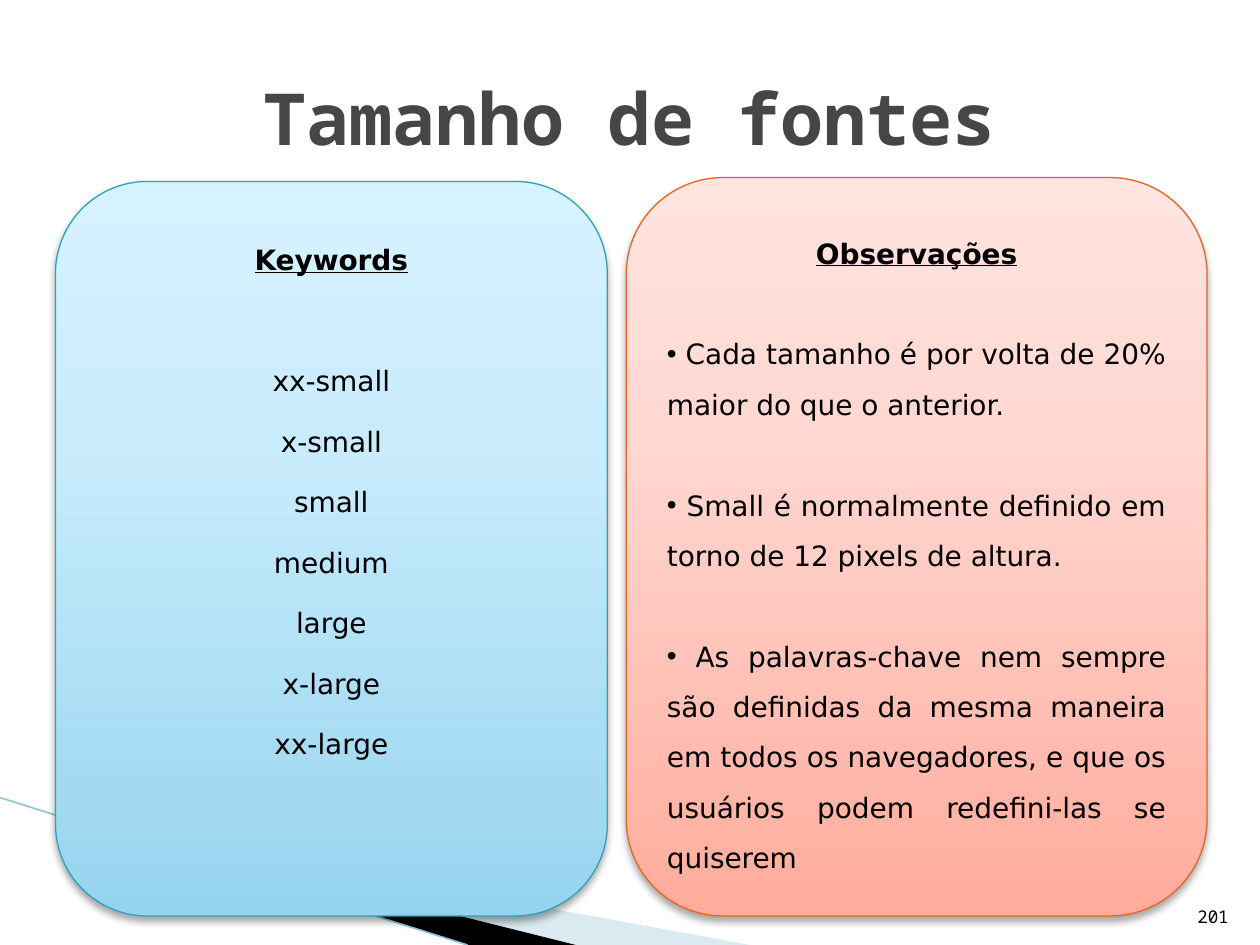
from pptx import Presentation
from pptx.dml.color import RGBColor
from pptx.enum.shapes import MSO_CONNECTOR, MSO_SHAPE
from pptx.enum.text import MSO_ANCHOR, PP_ALIGN
from pptx.oxml import parse_xml
from pptx.oxml.ns import nsdecls, qn
from pptx.util import Inches, Pt
from lxml.etree import SubElement

COLORS = {
    "gray": "464646", "black": "000000", "sky": "A0CBDC", "rule": "97C5D8",
    "teal": "2DA2BF", "orange": "EB641B",
}
BLUES = ["96D4EE", "C9ECFC", "D7F2FF"]
REDS = ["FFAC9C", "FFD8D2", "FFE4DF"]
MONO, SANS = "Noto Sans Mono", "DejaVu Sans"
WORDS = ["xx-small", "x-small", "small", "medium", "large", "x-large", "xx-large"]
NOTES = [
    " Cada tamanho é por volta de 20% maior do que o anterior.",
    " Small é normalmente definido em torno de 12 pixels de altura.",
    " As palavras-chave nem sempre são definidas da mesma maneira em todos os "
    "navegadores, e que os usuários podem redefini-las se quiserem",
]


class Deck:
    """Draw styled parts on a slide, placed on a grid of 100 columns by 75 rows."""

    def __init__(self):
        self.show = Presentation()
        self.show.slide_width, self.show.slide_height = Inches(10), Inches(7.5)
        self.cell = self.show.slide_width / 100
        self.slide = self.show.slides.add_slide(self.show.slide_layouts[6])
        self.shapes = self.slide.shapes

    def grid(self, *spots):
        return [round(spot * self.cell) for spot in spots]

    def color(self, name):
        return RGBColor.from_string(COLORS[name])

    def words(self, para, text, size, face, tint="black", bold=False, under=False):
        run = para.add_run()
        run.text = text
        font = run.font
        font.size, font.name = Pt(size), face
        font.bold, font.underline = bold, under
        font.color.rgb = self.color(tint)

    def label(self, box, text, size, align, anchor, **style):
        frame = self.shapes.add_textbox(*self.grid(*box)).text_frame
        frame.word_wrap, frame.vertical_anchor = True, anchor
        para = frame.paragraphs[0]
        para.alignment = align
        self.words(para, text, size, MONO, **style)

    def wedge(self, points, tint, alpha=100):
        spots = [self.grid(*point) for point in points]
        pen = self.shapes.build_freeform(*spots[0])
        pen.add_line_segments(spots[1:], close=True)
        shape = pen.convert_to_shape()
        shape.shadow.inherit = False
        shape.fill.solid()
        shape.fill.fore_color.rgb = self.color(tint)
        shape.line.fill.background()
        if alpha < 100:
            hue = shape._element.spPr.find(".//" + qn("a:srgbClr"))
            SubElement(hue, qn("a:alpha"), val=str(alpha * 1000))

    def rule(self, start, end, tint, width):
        line = self.shapes.add_connector(
            MSO_CONNECTOR.STRAIGHT, *self.grid(*start, *end))
        line.line.color.rgb = self.color(tint)
        line.line.width = Pt(width)
        SubElement(line._element.spPr, qn("a:effectLst"))

    def card(self, box, shades, edge, title, lines, pitch, gaps, align,
             dots=False, foot=0.5):
        shape = self.shapes.add_shape(MSO_SHAPE.ROUNDED_RECTANGLE, *self.grid(*box))
        shape.line.color.rgb = self.color(edge)
        shape.line.width = Pt(0.75)
        stops = "".join(
            f'<a:gs pos="{place}000"><a:srgbClr val="{shade}"/></a:gs>'
            for place, shade in zip((0, 65, 100), shades))
        props = shape._element.spPr
        props.find(qn("a:ln")).addprevious(parse_xml(
            f'<a:gradFill {nsdecls("a")} rotWithShape="1"><a:gsLst>{stops}</a:gsLst>'
            '<a:lin ang="16200000" scaled="0"/></a:gradFill>'))
        props.append(parse_xml(
            f'<a:effectLst {nsdecls("a")}><a:outerShdw blurRad="{Pt(4)}" '
            f'dist="{Pt(3)}" dir="5400000" rotWithShape="0"><a:srgbClr val="000000">'
            '<a:alpha val="35000"/></a:srgbClr></a:outerShdw></a:effectLst>'))
        frame = shape.text_frame
        frame.word_wrap, frame.vertical_anchor = True, MSO_ANCHOR.MIDDLE
        frame.margin_bottom = self.grid(foot)[0]
        head = frame.paragraphs[0]
        head.alignment, head.line_spacing = PP_ALIGN.CENTER, pitch
        self.words(head, title, 16, SANS, bold=True, under=True)
        for text, gap in zip(lines, gaps):
            para = frame.add_paragraph()
            para.alignment, para.line_spacing = align, pitch
            para.space_before = Pt(gap)
            if dots:
                SubElement(para._p.get_or_add_pPr(), qn("a:buFont"), typeface="Arial")
                SubElement(para._p.get_or_add_pPr(), qn("a:buChar"), char="•")
            self.words(para, text, 16, SANS)


def main():
    deck = Deck()
    deck.wedge([(5.5, 65.1), (59.5, 75), (45.6, 75), (5.5, 65)], "sky", 40)
    deck.wedge([(5.3, 64.9), (45.7, 75), (37.2, 75), (5.4, 65)], "black")
    deck.rule((0, 63.3), (37.1, 75), "rule", 0.95)
    deck.label((5, 3, 90, 12.5), "Tamanho de fontes", 41, PP_ALIGN.CENTER,
               MSO_ANCHOR.MIDDLE, tint="gray", bold=True)
    deck.card((49.7, 14.1, 46.1, 58.6), REDS, "orange", "Observações", NOTES,
              1.5, [28.8] * len(NOTES), PP_ALIGN.JUSTIFY, dots=True)
    deck.card((4.4, 14.4, 43.8, 58.3), BLUES, "teal", "Keywords", WORDS,
              1.8, [34.6] + [0] * (len(WORDS) - 1), PP_ALIGN.CENTER, foot=10.1)
    deck.label((92.5, 70.1, 6, 4), "201", 10, PP_ALIGN.RIGHT, MSO_ANCHOR.BOTTOM)
    deck.show.save("out.pptx")


if __name__ == "__main__":
    main()
